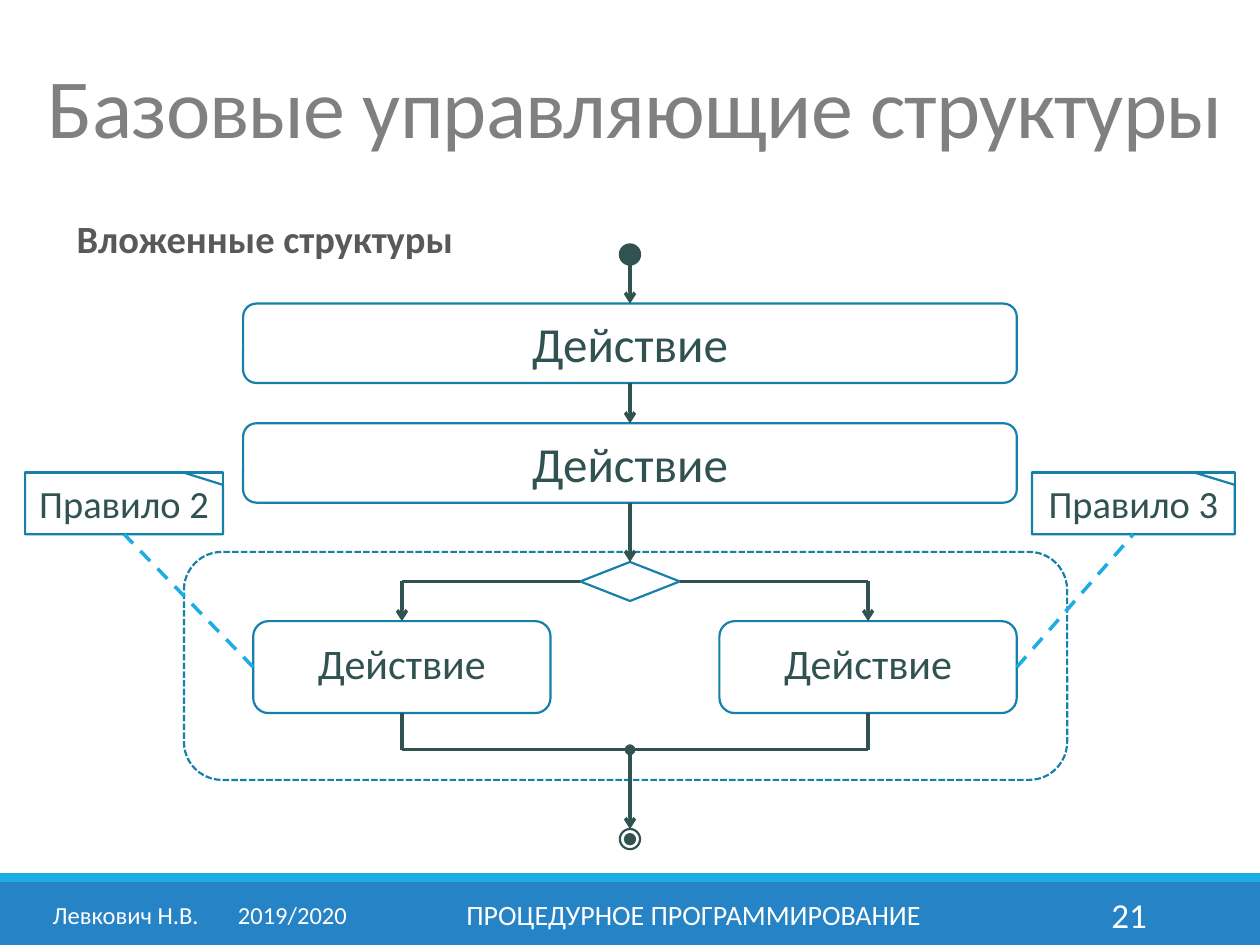
import lxml.etree
import pptx
import pptx.dml.color
import pptx.enum.dml
import pptx.enum.shapes
import pptx.enum.text
import pptx.oxml.ns
import pptx.util

KIND = pptx.enum.shapes.MSO_SHAPE
DASH = pptx.enum.dml.MSO_LINE
ALIGN = pptx.enum.text.PP_ALIGN
ANCHOR = pptx.enum.text.MSO_ANCHOR
TOP, LEFT, BOTTOM, RIGHT = range(4)
DARK, EDGE, SKY, BLUE, WHITE = "305250", "1580A9", "1CADE4", "2683C6", "FFFFFF"
COLS, ROWS = 100, 75
WIDE, HIGH = pptx.util.Inches(10), pptx.util.Inches(7.5)


def cells(*nums):
    """Turn grid cells, across and down by turns, into lengths."""
    units = WIDE / COLS, HIGH / ROWS
    return [round(n * units[i % 2]) for i, n in enumerate(nums)]


def tint(code):
    return pptx.dml.color.RGBColor.from_string(code)


def child(parent, tag, **attrs):
    name = pptx.oxml.ns.qn(tag)
    return lxml.etree.SubElement(parent, name, attrs)


def write(shape, text, size, color, align=ALIGN.CENTER, space=1.0,
          bold=False, anchor=ANCHOR.MIDDLE):
    frame = shape.text_frame
    frame.text = text
    frame.word_wrap = True
    frame.vertical_anchor = anchor
    para = frame.paragraphs[0]
    para.alignment = align
    para.line_spacing = space
    for run in para.runs:
        run.font.name = "Calibri"
        run.font.size = pptx.util.Pt(size)
        run.font.bold = bold
        run.font.color.rgb = tint(color)
    return para


def label(slide, box, *args, **style):
    return write(slide.shapes.add_textbox(*cells(*box)), *args, **style)


def draw(slide, kind, box, fill=None, line=EDGE):
    shape = slide.shapes.add_shape(kind, *cells(*box))
    shape.shadow.inherit = False
    if fill:
        shape.fill.solid()
        shape.fill.fore_color.rgb = tint(fill)
    else:
        shape.fill.background()
    if line:
        shape.line.color.rgb = tint(line)
        shape.line.width = pptx.util.Pt(1.25)
    else:
        shape.line.fill.background()
    return shape


def action(slide, box, size, space=1.0):
    shape = draw(slide, KIND.FLOWCHART_ALTERNATE_PROCESS, box)
    write(shape, "Действие", size, DARK, space=space)
    return shape


def spot(end):
    """Give the place of an end: a grid point or a (shape, side) pair."""
    if not hasattr(end[0], "shape_id"):
        return cells(*end)
    shape, side = end
    across = {LEFT: 0, RIGHT: 1}.get(side, 0.5)
    down = {TOP: 0, BOTTOM: 1}.get(side, 0.5)
    return [round(shape.left + across * shape.width),
            round(shape.top + down * shape.height)]


def wire(slide, start, stop, color=DARK, head=None, dash=None):
    line = slide.shapes.add_connector(
        pptx.enum.shapes.MSO_CONNECTOR.STRAIGHT, *spot(start), *spot(stop))
    if hasattr(start[0], "shape_id"):
        line.begin_connect(*start)
    if hasattr(stop[0], "shape_id"):
        line.end_connect(*stop)
    line.line.color.rgb = tint(color)
    line.line.width = pptx.util.Pt(2)
    if dash:
        line.line.dash_style = dash
    if head:
        child(line.line._get_or_add_ln(), "a:tailEnd", type=head)
    child(line._element.spPr, "a:effectLst")


def header(slide, box):
    x, y, w, h = box
    title = slide.shapes.title
    title.left, title.top, title.width, title.height = cells(x, y, w, h)
    para = write(title, "Базовые управляющие структуры", 48, "808080",
                 align=ALIGN.LEFT, space=0.85)
    para.runs[0].font._element.set("spc", "-50")
    para = label(slide, (x + 2.3, y + 13.4, 91, 5.5), "Вложенные структуры",
                 22, "595959", align=ALIGN.LEFT, space=0.9, bold=True,
                 anchor=ANCHOR.TOP)
    para.space_before = pptx.util.Pt(4.4)


def footer(slide, box):
    x, y, w, h = box
    draw(slide, KIND.RECTANGLE, box, BLUE, None)
    draw(slide, KIND.RECTANGLE, (x, y - 0.7, w, 0.7), SKY, None)
    row, tall = y + 0.6, 4
    para = label(slide, (x + 3.2, row, 26.1, tall), "Левкович Н.В.\t2019/2020",
                 14, WHITE, align=ALIGN.LEFT)
    tabs = child(para._p.get_or_add_pPr(), "a:tabLst")
    child(tabs, "a:tab", pos=str(pptx.util.Inches(1.47)), algn="l")
    label(slide, (x + 30.2, row, 49.7, tall), "ПРОЦЕДУРНОЕ ПРОГРАММИРОВАНИЕ",
          16, WHITE)
    label(slide, (x + 81.2, row, 10.8, tall), "21", 20, WHITE,
          align=ALIGN.RIGHT)


def note(slide, box, text, target):
    """Draw a note with a cut corner, tied to the target side."""
    card = draw(slide, KIND.FLOWCHART_CARD, box)
    card._element.spPr.xfrm.set("flipH", "1")
    sheet = draw(slide, KIND.FLOWCHART_PROCESS, box)
    write(sheet, text, 22, DARK)
    wire(slide, target, (sheet, BOTTOM), SKY, dash=DASH.DASH)


def series(slide, box):
    """Draw the start point and two actions; give back the last one."""
    x, y, w, h = box
    mid, tall, step = x + w / 2, 6.3, 9.5
    draw(slide, KIND.FLOWCHART_CONNECTOR, (mid - 0.8, y, 1.6, 1.6), DARK, DARK)
    end = mid, y + 1.6
    for i in range(2):
        act = action(slide, (x, y + 4.7 + i * step, w, tall), 28)
        wire(slide, end, (act, TOP), head="arrow")
        end = act, BOTTOM
    return act


def branch(slide, box, prior):
    """Draw the framed choice; give back its two actions and its exit."""
    x, y, w, h = box
    frame = draw(slide, KIND.FLOWCHART_ALTERNATE_PROCESS, box)
    frame.line.dash_style = DASH.SQUARE_DOT
    mid, fork, join = x + 35.4, y + 2.35, y + 15.7
    gate = draw(slide, KIND.FLOWCHART_DECISION,
                (mid - 3.95, fork - 1.55, 7.9, 3.1))
    wire(slide, (prior, BOTTOM), (gate, TOP), head="arrow")
    acts = []
    for side, shift in ((LEFT, -18.1), (RIGHT, 18.9)):
        col = mid + shift
        act = action(slide, (col - 11.8, y + 5.5, 23.6, 7.3), 24, 0.8)
        wire(slide, (gate, side), (col, fork))
        wire(slide, (col, fork), (act, TOP), head="arrow")
        wire(slide, (act, BOTTOM), (col, join))
        wire(slide, (col, join), (mid, join), head="oval")
        acts.append(act)
    return acts, (mid, join)


def finish(slide, box, start):
    x, y, w, h = box
    draw(slide, KIND.FLOWCHART_CONNECTOR, box, None, DARK)
    draw(slide, KIND.FLOWCHART_CONNECTOR,
         (x + w / 4, y + h / 4, w / 2, h / 2), DARK, DARK)
    wire(slide, start, (x + w / 2, y), head="arrow")


def main():
    deck = pptx.Presentation()
    deck.slide_width, deck.slide_height = WIDE, HIGH
    slide = deck.slides.add_slide(deck.slide_layouts[5])
    footer(slide, (0, 70, COLS, 5))
    header(slide, (2.8, 3.6, 95.3, 10.7))
    last = series(slide, (19.3, 19.4, 61.4, 20.5))
    (near, far), out = branch(slide, (14.6, 43.8, 70.1, 18.1), last)
    finish(slide, (49.2, 65.8, 1.6, 1.6), out)
    note(slide, (2, 37.5, 15.7, 4.9), "Правило 2", (near, LEFT))
    note(slide, (81.9, 37.5, 16.1, 4.9), "Правило 3", (far, RIGHT))
    deck.save("out.pptx")


if __name__ == "__main__":
    main()
